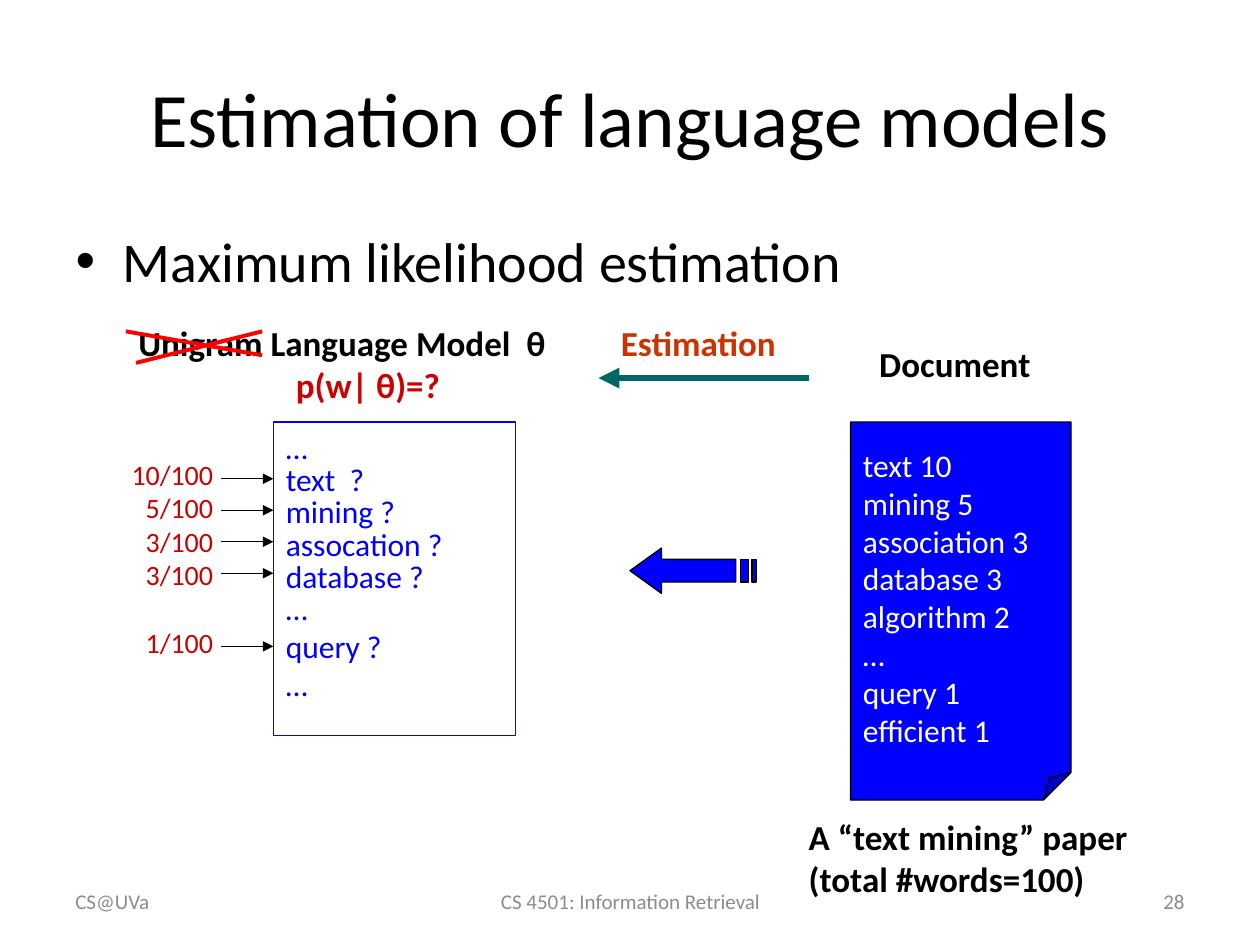
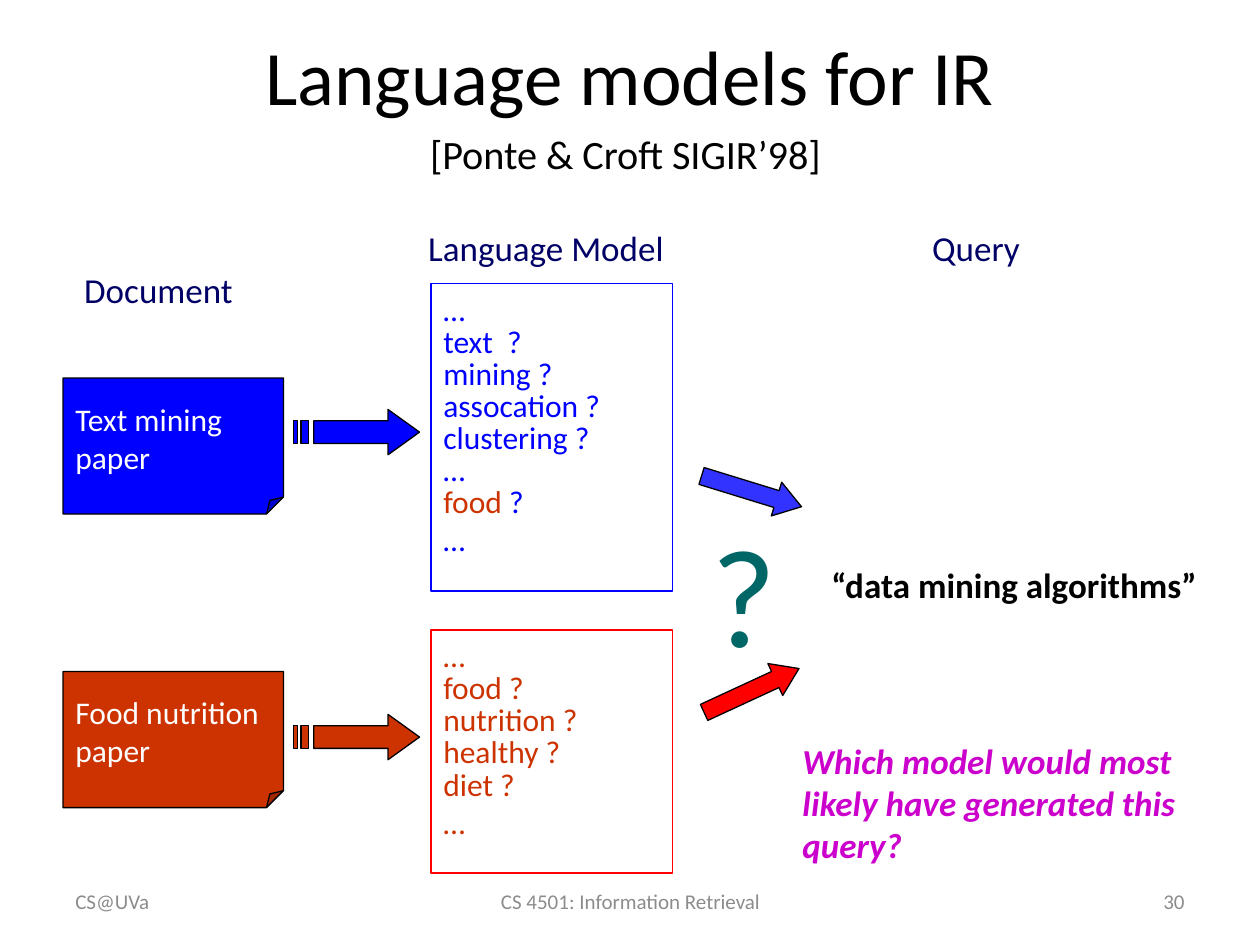
from dataclasses import dataclass

from lxml.etree import SubElement
from pptx import Presentation
from pptx.dml.color import RGBColor
from pptx.enum.shapes import MSO_CONNECTOR as Connector, MSO_SHAPE as Shape
from pptx.enum.text import MSO_ANCHOR as Anchor, PP_ALIGN as Align
from pptx.oxml.ns import qn
from pptx.util import Inches, Pt


@dataclass(frozen=True)
class Theme:
    """Colours, font and type sizes shared by the slides."""

    font: str = "Calibri"
    black: str = "000000"
    white: str = "FFFFFF"
    grey: str = "8C8C8C"
    blue: str = "0000FF"
    light_blue: str = "3333FF"
    navy: str = "000066"
    teal: str = "006666"
    red: str = "FF0000"
    dark_red: str = "CC0000"
    rust: str = "CC3300"
    magenta: str = "CC00CC"
    title: float = 44
    citation: float = 39.6
    body: float = 32
    label: float = 20
    words: float = 18
    weights: float = 16
    footer: float = 12
    question: float = 80
    hairline: float = 0.75


THEME = Theme()


def rgb(color):
    """Turn a hex string into a colour."""
    return RGBColor.from_string(color)


def place(shape, box):
    """Move and size a shape to a box given in inches."""
    shape.left, shape.top, shape.width, shape.height = map(Inches, box)


def style_run(run, size, color, bold=False, italic=False):
    """Format one run."""
    font = run.font
    font.name, font.size = THEME.font, Pt(size)
    font.bold, font.italic = bold, italic
    font.color.rgb = rgb(color)


def write(shape, text, size, color, align=Align.LEFT, anchor=Anchor.TOP, **emphasis):
    """Fill a shape with text in one style and return its paragraphs."""
    frame = shape.text_frame
    frame.text = text
    frame.word_wrap = True
    frame.vertical_anchor = anchor
    for paragraph in frame.paragraphs:
        paragraph.alignment = align
        for run in paragraph.runs:
            style_run(run, size, color, **emphasis)
    return frame.paragraphs


def add_label(slide, box, text, color, size=THEME.label, **style):
    """Add a text box and return its paragraphs."""
    return write(slide.shapes.add_textbox(*map(Inches, box)), text, size, color, **style)


def paint(shape, fill, line=THEME.black):
    """Give a shape its fill and a thin outline without shadow."""
    shape.shadow.inherit = False
    if fill:
        shape.fill.solid()
        shape.fill.fore_color.rgb = rgb(fill)
    else:
        shape.fill.background()
    shape.line.color.rgb = rgb(line)
    shape.line.width = Pt(THEME.hairline)


def add_line(slide, start, end, color=THEME.black, width=THEME.hairline, arrow=False):
    """Draw a straight line, with an arrowhead at its end if asked."""
    line = slide.shapes.add_connector(Connector.STRAIGHT, *map(Inches, start + end))
    line.line.color.rgb = rgb(color)
    line.line.width = Pt(width)
    if arrow:
        SubElement(line.line._get_or_add_ln(), qn("a:tailEnd"), type="triangle")
    SubElement(line._element.spPr, qn("a:effectLst"))


def add_paper(slide, box, text, fill):
    """Draw a document as a sheet with a folded corner."""
    paper = slide.shapes.add_shape(Shape.FOLDED_CORNER, *map(Inches, box))
    adjustments = next(paper._element.spPr.iter(qn("a:avLst")))
    SubElement(adjustments, qn("a:gd"), name="adj", fmla="val 12500")
    paint(paper, fill)
    write(paper, text, THEME.words, THEME.white, anchor=Anchor.MIDDLE)


def add_model(slide, box, words, color, line, loose_tail=1):
    """Draw a word list in a frame, tight between its first and last rows."""
    model = slide.shapes.add_shape(Shape.RECTANGLE, *map(Inches, box))
    paint(model, None, line)
    paragraphs = write(model, "\n".join(words), THEME.words, color)
    for paragraph in paragraphs[1:-loose_tail]:
        paragraph.line_spacing = 0.85
    return paragraphs


def add_striped_arrow(slide, tail, top, direction, fill):
    """Draw a one-inch striped arrow to the right (1) or left (-1)."""
    upper, middle, lower, bottom = 0.09, 0.18, 0.27, 0.36
    head = [(0.75, 0), (0.75, upper), (0.16, upper), (0.16, lower),
            (0.75, lower), (0.75, bottom), (1, middle)]
    stripes = [[(near, upper), (near, lower), (far, lower), (far, upper)]
               for near, far in ((0.06, 0.12), (0, 0.03))]
    builder = None
    for outline in [head] + stripes:
        points = [(Inches(tail + direction * x), Inches(top + y)) for x, y in outline]
        if builder is None:
            builder = slide.shapes.build_freeform(*points[0], scale=1.0)
        else:
            builder.move_to(*points[0])
        builder.add_line_segments(points[1:], close=True)
    paint(builder.convert_to_shape(), fill)


def add_vote_arrow(slide, top, rotation, fill):
    """Draw a tilted arrow from a model towards the query."""
    arrow = slide.shapes.add_shape(Shape.RIGHT_ARROW, *map(Inches, (5.55, top, 0.83, 0.28)))
    arrow.adjustments[0], arrow.adjustments[1] = 0.5, 0.74
    arrow.rotation = rotation
    paint(arrow, fill)


def start_slide(presentation, layout, title, number):
    """Add a slide with its title and footers."""
    slide = presentation.slides.add_slide(presentation.slide_layouts[layout])
    place(slide.shapes.title, (0.5, 0.3, 9, 1.25))
    write(slide.shapes.title, title, THEME.title, THEME.black, Align.CENTER, Anchor.MIDDLE)
    footers = (
        (0.5, 2.33, "CS@UVa", Align.LEFT),
        (3.42, 3.17, "CS 4501: Information Retrieval", Align.CENTER),
        (7.17, 2.33, str(number), Align.RIGHT),
    )
    for left, width, text, align in footers:
        add_label(slide, (left, 6.95, width, 0.4), text, THEME.grey, THEME.footer,
                  align=align, anchor=Anchor.MIDDLE)
    return slide


def add_weights(slide):
    """List the estimated word weights and point each at its word."""
    weights = add_label(slide, (0.83, 3.58, 0.96, 1.7),
                        "10/100\n5/100\n3/100\n3/100\n1/100",
                        THEME.dark_red, THEME.weights, align=Align.RIGHT)
    weights[-1].space_before = Pt(19.5)
    for height in (3.8, 4.05, 4.3, 4.55, 5.13):
        add_line(slide, (1.75, height), (2.17, height), arrow=True)


def build_estimation(presentation):
    """Build the slide on maximum likelihood estimation."""
    slide = start_slide(presentation, 1, "Estimation of language models", 28)
    body = slide.placeholders[1]
    place(body, (0.5, 1.75, 9, 4.95))
    write(body, "Maximum likelihood estimation", THEME.body, THEME.black)

    heading = add_label(slide, (1, 2.5, 3.6, 0.77),
                        "Unigram Language Model  θ\np(w| θ)=?", THEME.black, bold=True)
    heading[1].runs[0].font.color.rgb = rgb(THEME.dark_red)
    heading[1]._p.get_or_add_pPr().set("marL", str(Inches(1.25)))
    add_label(slide, (6.88, 2.67, 1.6, 0.43), "Document", THEME.black, bold=True)
    add_label(slide, (4.83, 2.5, 1.6, 0.43), "Estimation", THEME.rust, bold=True)
    add_label(slide, (6.32, 6.42, 2.9, 0.77),
              "A “text mining” paper\n(total #words=100)", THEME.black, bold=True)

    counts = ("text 10", "mining 5", "association 3", "database 3",
              "algorithm 2", "…", "query 1", "efficient 1")
    add_paper(slide, (6.75, 3.35, 1.75, 3), "\n".join(counts), THEME.blue)
    words = ("…", "text  ?", "mining ?", "assocation ?", "database ?", "…", "query ?", "…")
    add_model(slide, (2.17, 3.35, 1.92, 2.49), words, THEME.blue, THEME.blue, loose_tail=2)
    add_striped_arrow(slide, 6, 4.35, -1, THEME.blue)
    add_line(slide, (6.42, 3), (4.75, 3), THEME.teal, 4, arrow=True)
    add_weights(slide)
    add_line(slide, (1, 2.63), (2.08, 2.82), THEME.red, 2.25)
    add_line(slide, (1.08, 2.88), (2.08, 2.63), THEME.red, 2.25)


def build_retrieval(presentation):
    """Build the slide on choosing a model for a query."""
    slide = start_slide(presentation, 5,
                        "Language models for IR\v[Ponte & Croft SIGIR’98] ", 30)
    citation = slide.shapes.title.text_frame.paragraphs[0].runs[1]
    citation.font.size = Pt(THEME.citation)
    citation._r.get_or_add_rPr().set("baseline", "30000")

    headings = ((0.57, 2.08, 1.5, "Document"), (3.3, 1.75, 2.3, "Language Model"),
                (7.3, 1.75, 1.1, "Query"))
    for left, top, width, text in headings:
        add_label(slide, (left, top, width, 0.43), text, THEME.navy)

    papers = ((3, 3.25, "Text mining\npaper", THEME.blue),
              (5.33, 5.67, "Food nutrition\npaper", THEME.rust))
    for paper_top, arrow_top, text, color in papers:
        add_paper(slide, (0.5, paper_top, 1.75, 1.08), text, color)
        add_striped_arrow(slide, 2.33, arrow_top, 1, color)

    mining = ("…", "text  ?", "mining ?", "assocation ?", "clustering ?", "…", "food", "…")
    rows = add_model(slide, (3.42, 2.25, 1.92, 2.44), mining, THEME.blue, THEME.blue)
    rows[6].runs[0].font.color.rgb = rgb(THEME.rust)
    mark = rows[6].add_run()
    mark.text = " ?"
    style_run(mark, THEME.words, THEME.blue)
    nutrition = ("…", "food ?", "nutrition ?", "healthy ?", "diet ?", "…")
    add_model(slide, (3.42, 5, 1.92, 1.93), nutrition, THEME.rust, THEME.red)

    add_label(slide, (5.55, 3.98, 0.8, 1.43), "?", THEME.teal, THEME.question)
    add_vote_arrow(slide, 3.76, 17.1, THEME.light_blue)
    add_vote_arrow(slide, 5.34, 335.2, THEME.red)
    add_label(slide, (6.5, 4.42, 3.3, 0.44), "“data mining algorithms”", THEME.black, bold=True)
    add_label(slide, (6.27, 5.82, 3.59, 1.11),
              "Which model would most\nlikely have generated this query?",
              THEME.magenta, bold=True, italic=True)


def main():
    """Build and save the presentation."""
    presentation = Presentation()
    presentation.slide_width, presentation.slide_height = Inches(10), Inches(7.5)
    build_estimation(presentation)
    build_retrieval(presentation)
    presentation.save("out.pptx")


if __name__ == "__main__":
    main()
